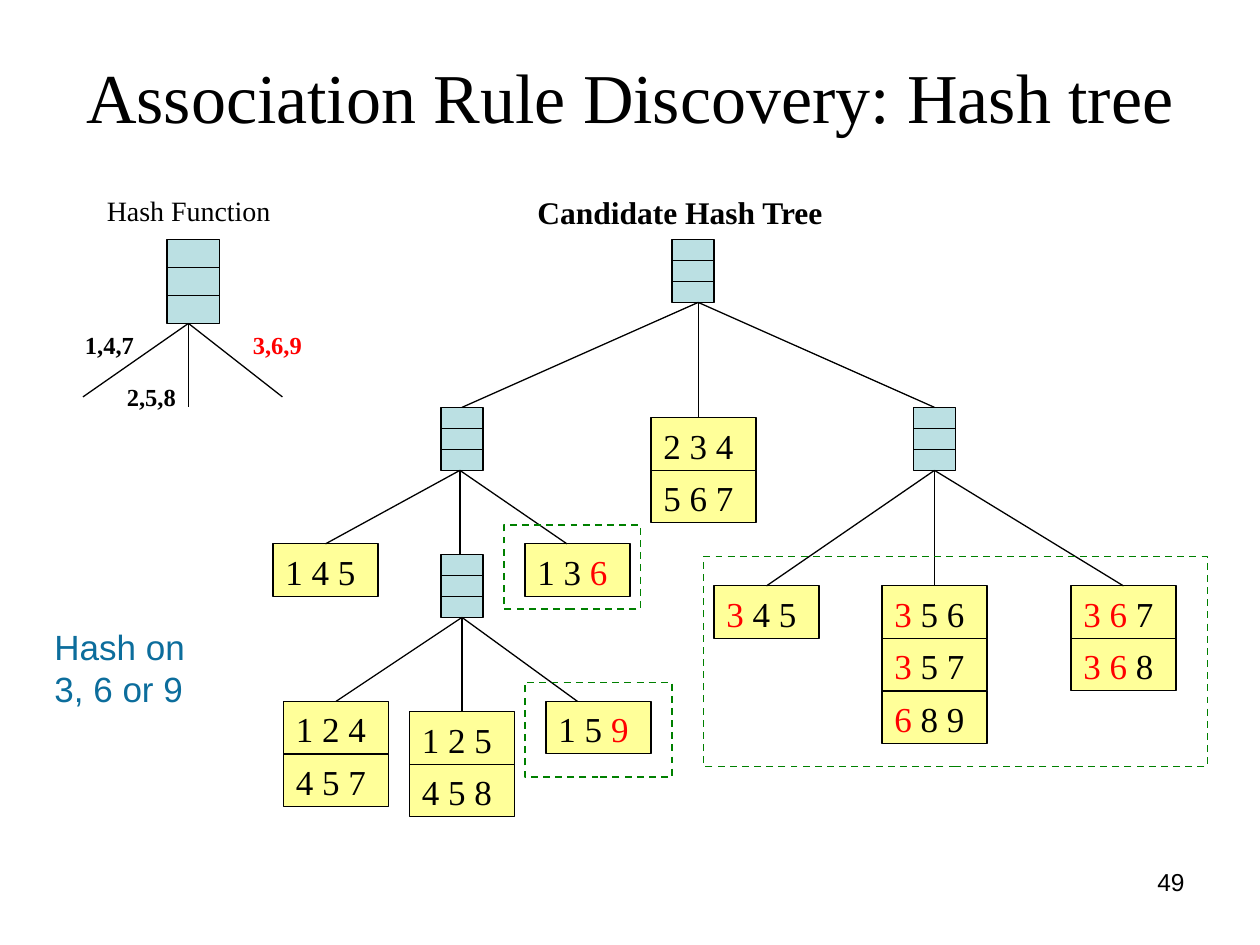
from pptx import Presentation
from pptx.dml.color import RGBColor
from pptx.enum.dml import MSO_LINE
from pptx.enum.shapes import MSO_CONNECTOR, MSO_SHAPE
from pptx.enum.text import MSO_ANCHOR, PP_ALIGN
from pptx.oxml.ns import qn
from pptx.util import Inches, Pt
from lxml import etree

STRAIGHT = MSO_CONNECTOR.STRAIGHT
RECTANGLE = MSO_SHAPE.RECTANGLE
DASH = MSO_LINE.DASH
TOP, MIDDLE = MSO_ANCHOR.TOP, MSO_ANCHOR.MIDDLE
LEFT, CENTER, RIGHT = PP_ALIGN.LEFT, PP_ALIGN.CENTER, PP_ALIGN.RIGHT
TOP_SIDE, BOTTOM_SIDE = 0, 2

UNITS_PER_INCH = 12
TREE_TOP = 1.9
LEAF_WIDTH, LEAF_HEIGHT = 10, 5
SERIF, SANS = "Times New Roman", "Arial"
BLACK, RED, GREEN, BLUE = "000000", "FF0000", "008000", "0C6D9C"
NODE_FILL, LEAF_FILL = "BBE0E3", "FFFF99"


def color(hex_string):
    """Turn a hex string into a colour."""
    return RGBColor.from_string(hex_string)


def x_at(column):
    """Give the horizontal place of a grid column."""
    return Inches(column / UNITS_PER_INCH)


def y_at(row):
    """Give the vertical place of a grid row, counted from the tree's top."""
    return Inches(TREE_TOP + row / UNITS_PER_INCH)


def write(text_frame, text, size, font=SERIF, ink=BLACK, bold=False, align=LEFT,
          anchor=TOP, wrap=False):
    """Write one paragraph, with the parts between bars in red."""
    text_frame.word_wrap = wrap
    text_frame.vertical_anchor = anchor
    paragraph = text_frame.paragraphs[0]
    paragraph.alignment = align
    paragraph.font.name = font
    paragraph.font.size = Pt(size)
    paragraph.font.bold = bold
    paragraph.font.color.rgb = color(ink)
    for index, part in enumerate(text.split("|")):
        if part:
            run = paragraph.add_run()
            run.text = part
            if index % 2:
                run.font.color.rgb = color(RED)


def add_label(slide, column, row, width, height, text, size, **style):
    """Add a free text box on the grid."""
    box = slide.shapes.add_textbox(x_at(column), y_at(row), x_at(width), x_at(height))
    write(box.text_frame, text, size, **style)


def add_box(slide, column, row, width, height, fill=None, line=BLACK, weight=0.75):
    """Add a rectangle on the grid, hollow if no fill is given."""
    box = slide.shapes.add_shape(RECTANGLE, x_at(column), y_at(row), x_at(width), x_at(height))
    box.shadow.inherit = False
    box.line.color.rgb = color(line)
    box.line.width = Pt(weight)
    if fill:
        box.fill.solid()
        box.fill.fore_color.rgb = color(fill)
    else:
        box.fill.background()
    return box


def add_line(slide, start, end):
    """Add a thin black line between two grid points."""
    line = slide.shapes.add_connector(
        STRAIGHT, x_at(start[0]), y_at(start[1]), x_at(end[0]), y_at(end[1]))
    line.line.color.rgb = color(BLACK)
    line.line.width = Pt(0.75)
    etree.SubElement(line._element.spPr, qn("a:effectLst"))
    return line


def add_node(slide, column, row, width=4, height=6):
    """Add a hash node split into three buckets."""
    node = add_box(slide, column, row, width, height, NODE_FILL)
    for bucket in (1, 2):
        divider = row + bucket * height / 3
        add_line(slide, (column, divider), (column + width, divider))
    return node


def add_leaf(slide, column, row, itemsets):
    """Stack one cell per itemset and return the top cell."""
    cells = []
    for index, itemset in enumerate(itemsets):
        cell = add_box(slide, column, row + index * LEAF_HEIGHT, LEAF_WIDTH, LEAF_HEIGHT, LEAF_FILL)
        write(cell.text_frame, itemset, 20)
        cells.append(cell)
    return cells[0]


def is_centre(shape, column):
    """Tell whether a column runs through the middle of a shape."""
    return abs(shape.left + shape.width / 2 - x_at(column)) < Inches(0.01)


def add_branches(slide, start, parent, ends):
    """Fan lines out from a node, joined wherever they meet a side's middle."""
    for column, row, child in ends:
        line = add_line(slide, start, (column, row))
        if is_centre(parent, start[0]):
            line.begin_connect(parent, BOTTOM_SIDE)
        if child is not None and is_centre(child, column):
            line.end_connect(child, TOP_SIDE)


def add_hash_function(slide):
    """Draw the legend that shows how items are hashed."""
    add_label(slide, 9, -5, 18, 4.4, "Hash Function", 16)
    node = add_node(slide, 15.9, 0, 5, 8)
    add_branches(slide, (17.95, 8), node, [(7.9, 15, None), (17.95, 16, None), (26.9, 15, None)])
    for column, row, items, ink in ((6.9, 8, "1,4,7", BLACK), (10.9, 13, "2,5,8", BLACK),
                                    (22.9, 8, "3,6,9", RED)):
        add_label(slide, column, row, 7.8, 4, items, 14, ink=ink, bold=True)


def add_candidate_tree(slide):
    """Draw the nodes, leaves and branches of the candidate tree."""
    add_label(slide, 50, -5, 30, 4.8, "Candidate Hash Tree", 18, bold=True)
    root = add_node(slide, 64, 0)
    left = add_node(slide, 42, 16)
    right = add_node(slide, 87, 16)
    lower = add_node(slide, 42, 30)
    leaf_234 = add_leaf(slide, 62, 17, ["2 3 4", "5 6 7"])
    leaf_145 = add_leaf(slide, 26, 29, ["1 4 5"])
    leaf_136 = add_leaf(slide, 50, 29, ["1 3 |6|"])
    leaf_345 = add_leaf(slide, 68, 33, ["|3| 4 5"])
    leaf_356 = add_leaf(slide, 84, 33, ["|3| 5 6", "|3| 5 7", "|6| 8 9"])
    leaf_367 = add_leaf(slide, 102, 33, ["|3 6| 7", "|3 6| 8"])
    leaf_124 = add_leaf(slide, 27, 44, ["1 2 4", "4 5 7"])
    leaf_125 = add_leaf(slide, 39, 45, ["1 2 5", "4 5 8"])
    leaf_159 = add_leaf(slide, 52, 44, ["1 5 |9|"])
    add_branches(slide, (66.5, 6), root,
                 [(44, 16, left), (66.5, 17, leaf_234), (89, 16, right)])
    add_branches(slide, (43.8, 22), left,
                 [(31, 29, leaf_145), (43.8, 30, lower), (54, 29, leaf_136)])
    add_branches(slide, (89, 22), right,
                 [(73, 33, leaf_345), (89, 33, leaf_356), (107, 33, leaf_367)])
    add_branches(slide, (44, 36), lower,
                 [(32, 44, leaf_124), (44, 45, leaf_125), (55, 44, leaf_159)])


def add_highlights(slide):
    """Frame the leaves that are reached by hashing on 3, 6 or 9."""
    for bounds in ((50, 42.2, 14, 9), (67, 30.2, 48, 20), (48, 27.2, 13, 8)):
        frame = add_box(slide, *bounds, line=GREEN, weight=1)
        frame.line.dash_style = DASH
    add_label(slide, 4, 36.2, 15, 9.2, "Hash on 3, 6 or 9", 20, font=SANS, ink=BLUE, wrap=True)


def main():
    """Build and save the slide."""
    presentation = Presentation()
    presentation.slide_width, presentation.slide_height = Inches(10), Inches(7.5)
    slide = presentation.slides.add_slide(presentation.slide_layouts[6])
    add_label(slide, 6, -19.2, 108, 11, "Association Rule Discovery: Hash tree", 40,
              align=CENTER, anchor=MIDDLE)
    add_hash_function(slide)
    add_candidate_tree(slide)
    add_highlights(slide)
    add_label(slide, 86, 59.2, 28, 6.2, "49", 14, font=SANS, align=RIGHT, wrap=True)
    presentation.save("out.pptx")


if __name__ == "__main__":
    main()
